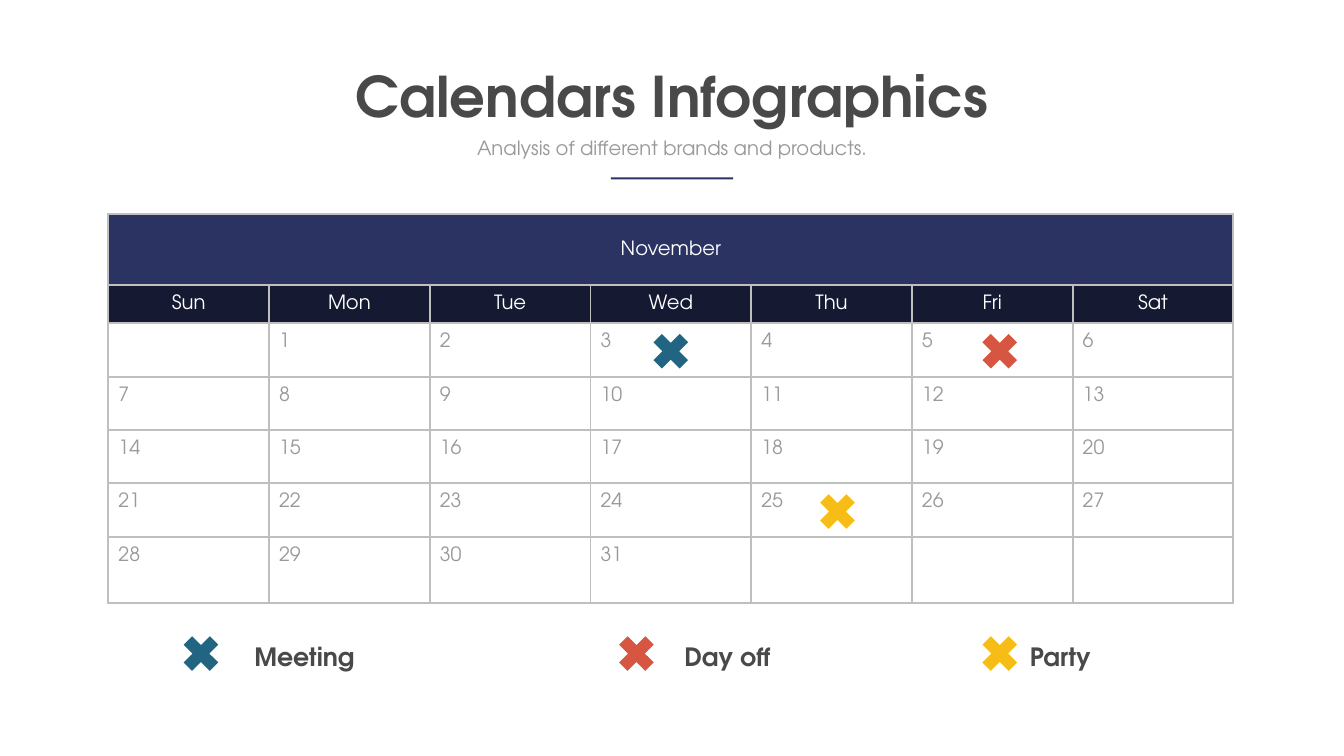
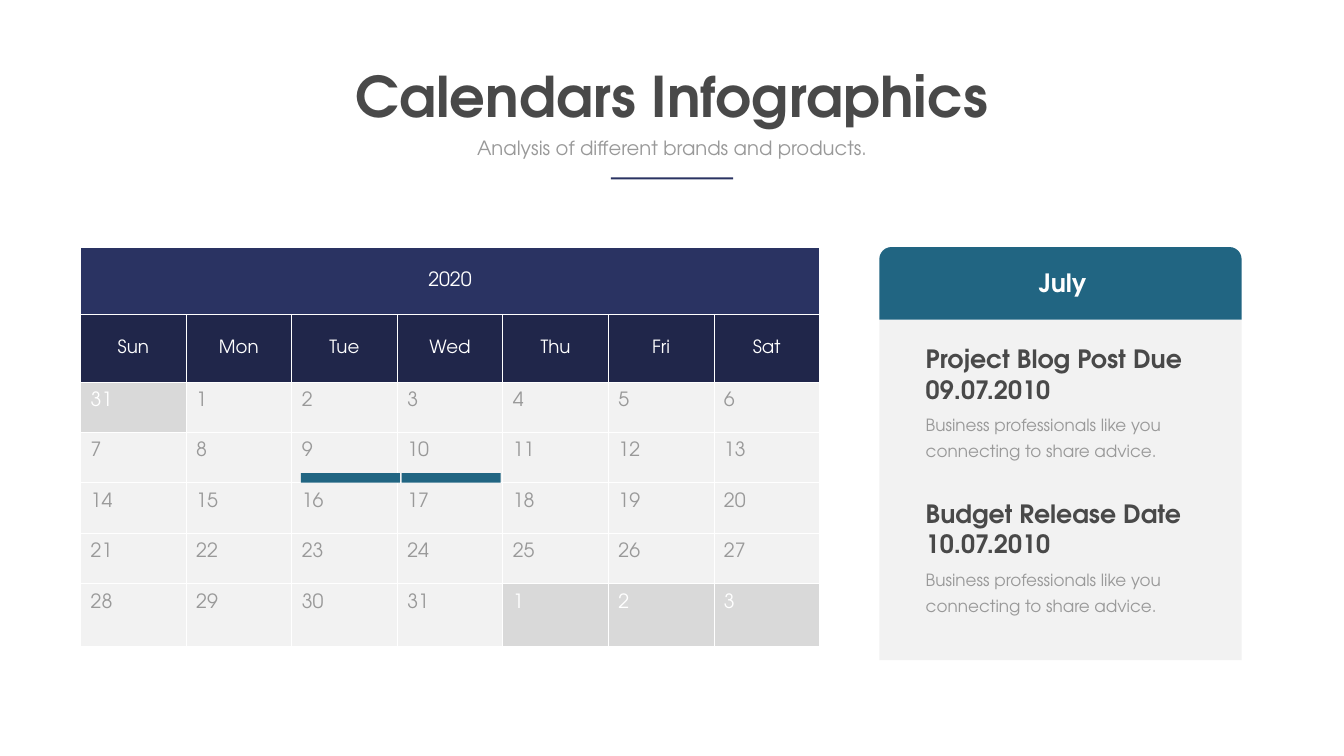
from dataclasses import dataclass
from typing import Any

import pptx
import pptx.dml.color
import pptx.enum.shapes
import pptx.enum.text
import pptx.oxml.ns
import pptx.util
from lxml import etree

Cm = pptx.util.Cm
Pt = pptx.util.Pt
Align = pptx.enum.text.PP_ALIGN
Kind = pptx.enum.shapes.MSO_SHAPE


@dataclass(frozen=True)
class Theme:
    font: str = "TeX Gyre Adventor"
    ink: str = "494949"
    gray: str = "999999"
    white: str = "FFFFFF"
    pale: str = "F2F2F2"
    dim: str = "D9D9D9"
    grid: str = "BFBFBF"
    navy: str = "2A3362"
    night: str = "151931"
    dusk: str = "20264A"
    teal: str = "216582"
    red: str = "D65642"
    gold: str = "F6BD17"
    title: int = 80
    label: int = 36
    text: int = 28
    week: int = 26
    note: int = 24


THEME = Theme()
WIDTH, HEIGHT = 67.74, 38.1
DAYS = ("Sun", "Mon", "Tue", "Wed", "Thu", "Fri", "Sat")
LAST = 31


@dataclass(frozen=True)
class Box:
    left: float
    top: float
    width: float
    height: float

    def place(self) -> tuple:
        return Cm(self.left), Cm(self.top), Cm(self.width), Cm(self.height)


@dataclass(frozen=True)
class Style:
    size: int
    color: str
    bold: bool = False
    align: Any = Align.LEFT
    line: float = 0


@dataclass(frozen=True)
class Month:
    name: str
    left: float
    top: float
    col: float
    rows: tuple
    week: Style
    band: str
    fill: str
    off: str
    before: tuple
    after: tuple
    edge: str
    weight: float


@dataclass(frozen=True)
class Mark:
    color: str
    left: float
    top: float


@dataclass(frozen=True)
class Key:
    name: str
    mark: Mark
    left: float
    width: float


@dataclass(frozen=True)
class Event:
    head: str
    body: str


LABEL = Style(THEME.label, THEME.ink, True)
HEAD = Style(THEME.text, THEME.white, align=Align.CENTER)
DAY = Style(THEME.text, THEME.gray)
OFF = Style(THEME.text, THEME.white)
NOTE = Style(THEME.note, THEME.gray, line=36.6)

MARK = 2.54
KEY_TOP = 31.67

NOVEMBER = Month(
    "November", 5.46, 10.8, 8.1, (3.58, 1.91, 2.69, 2.69, 2.69, 2.69, 3.33),
    HEAD, THEME.night, THEME.white, THEME.white, ("",), ("", "", ""),
    THEME.grid, 3)
YEAR = Month(
    "2020", 4.06, 12.45, 5.32, (3.4, 3.4, 2.54, 2.54, 2.54, 2.54, 3.18),
    Style(THEME.week, THEME.white, align=Align.CENTER), THEME.dusk,
    THEME.pale, THEME.dim, ("31",), ("1", "2", "3"), THEME.white, 1)

MARKS = (
    Mark(THEME.teal, 32.54, 16.43),
    Mark(THEME.red, 49.12, 16.43),
    Mark(THEME.gold, 40.94, 24.51),
)
KEYS = (
    Key("Meeting", Mark(THEME.teal, 8.86, KEY_TOP), 12.57, 12.42),
    Key("Day off", Mark(THEME.red, 30.81, KEY_TOP), 34.24, 5.44),
    Key("Party", Mark(THEME.gold, 49.12, KEY_TOP), 51.66, 4.72),
)
ADVICE = "Business professionals like you connecting to share advice."
EVENTS = (
    Event("Project Blog Post Due 09.07.2010", ADVICE),
    Event("Budget Release Date\n10.07.2010", ADVICE),
)


def tint(color: str) -> pptx.dml.color.RGBColor:
    return pptx.dml.color.RGBColor.from_string(color)


def write(frame: Any, text: str, style: Style) -> None:
    frame.text = text
    for para in frame.paragraphs:
        para.alignment = style.align
        if style.line:
            para.line_spacing = Pt(style.line)
        for run in para.runs:
            run.font.name = THEME.font
            run.font.size = Pt(style.size)
            run.font.bold = style.bold
            run.font.color.rgb = tint(style.color)


def add_text(shapes: Any, box: Box, text: str, style: Style,
             wrap: bool = True) -> None:
    frame = shapes.add_textbox(*box.place()).text_frame
    frame.word_wrap = wrap
    frame.auto_size = pptx.enum.text.MSO_AUTO_SIZE.SHAPE_TO_FIT_TEXT
    write(frame, text, style)


def add_block(shapes: Any, box: Box, color: str,
              kind: Any = Kind.RECTANGLE) -> None:
    shape = shapes.add_shape(kind, *box.place())
    shape.shadow.inherit = False
    shape.fill.solid()
    shape.fill.fore_color.rgb = tint(color)
    shape.line.fill.background()


def add_mark(shapes: Any, mark: Mark) -> None:
    add_block(shapes, Box(mark.left, mark.top, MARK, MARK), mark.color,
              Kind.MATH_MULTIPLY)


def mid(top: float, width: float, height: float) -> Box:
    return Box((WIDTH - width) / 2, top, width, height)


def add_title(shapes: Any) -> None:
    add_text(shapes, mid(2.97, 32.74, 3.68), "Calendars Infographics",
             Style(THEME.title, THEME.ink, True, Align.CENTER), wrap=False)
    add_text(shapes, mid(6.73, 24.28, 1.45),
             "Analysis of different brands and products.",
             Style(THEME.text, THEME.gray, align=Align.CENTER))
    add_block(shapes, mid(8.94, 6.17, 0.1), THEME.navy)


def edge_cell(cell: Any, color: str, weight: float) -> None:
    qn = pptx.oxml.ns.qn
    props = cell._tc.get_or_add_tcPr()
    for side in ("a:lnL", "a:lnR", "a:lnT", "a:lnB"):
        line = etree.SubElement(props, qn(side), w=str(Pt(weight)))
        fill = etree.SubElement(line, qn("a:solidFill"))
        etree.SubElement(fill, qn("a:srgbClr"), val=color)


def fill_cell(cell: Any, text: str, style: Style, color: str,
              month: Month) -> None:
    edge_cell(cell, month.edge, month.weight)
    cell.fill.solid()
    cell.fill.fore_color.rgb = tint(color)
    if style.align == Align.CENTER:
        cell.vertical_anchor = pptx.enum.text.MSO_ANCHOR.MIDDLE
        pads = (0.36, 0.18, 0.36, 0.18)
    else:
        pads = (0.51, 0.51, 0.25, 0.13)
    (cell.margin_left, cell.margin_top,
     cell.margin_right, cell.margin_bottom) = map(Cm, pads)
    if text:
        write(cell.text_frame, text, style)


def add_month(shapes: Any, month: Month) -> None:
    count = len(DAYS)
    box = Box(month.left, month.top, month.col * count, sum(month.rows))
    table = shapes.add_table(len(month.rows), count, *box.place()).table
    table.first_row = table.horz_banding = False
    for col in table.columns:
        col.width = Cm(month.col)
    for row, height in zip(table.rows, month.rows):
        row.height = Cm(height)

    # Name and weekdays
    for i, day in enumerate(DAYS):
        fill_cell(table.cell(0, i), "" if i else month.name, HEAD,
                  THEME.navy, month)
        fill_cell(table.cell(1, i), day, month.week, month.band, month)
    table.cell(0, 0).merge(table.cell(0, count - 1))

    # Dates, with the days of other months set off
    dates = [(text, OFF, month.off) for text in month.before]
    dates += [(str(n), DAY, month.fill) for n in range(1, LAST + 1)]
    dates += [(text, OFF, month.off) for text in month.after]
    for i, (text, style, color) in enumerate(dates):
        cell = table.cell(2 + i // count, i % count)
        fill_cell(cell, text, style, color, month)


def add_card(shapes: Any) -> None:
    left, width = 44.32, 18.26
    card = shapes.add_group_shape().shapes
    add_block(card, Box(left, 12.45, width, 3.66), THEME.teal,
              Kind.ROUND_2_SAME_RECTANGLE)
    add_block(card, Box(left, 16.13, width, 17.14), THEME.pale)
    add_text(shapes, Box(47.35, 13.36, 12.42, 1.8), "July",
             Style(THEME.label, THEME.white, True, Align.CENTER))
    for i, event in enumerate(EVENTS):
        top = 17.2 + i * 7.79
        group = shapes.add_group_shape().shapes
        add_text(group, Box(46.41, top + 3.32, 13.08, 2.87), event.body, NOTE)
        add_text(group, Box(46.41, top, 13.94, 3.33), event.head, LABEL)


def new_slide(deck: Any) -> Any:
    shapes = deck.slides.add_slide(deck.slide_layouts[6]).shapes
    add_title(shapes)
    return shapes


def main() -> None:
    deck = pptx.Presentation()
    deck.slide_width, deck.slide_height = Cm(WIDTH), Cm(HEIGHT)

    # Month with marked days and a key
    shapes = new_slide(deck)
    add_month(shapes, NOVEMBER)
    for mark in MARKS:
        add_mark(shapes, mark)
    for key in KEYS:
        add_mark(shapes, key.mark)
        add_text(shapes, Box(key.left, 32.21, key.width, 1.8), key.name, LABEL)

    # Month with an event card
    shapes = new_slide(deck)
    add_card(shapes)
    add_month(shapes, YEAR)
    for i in range(2):
        add_block(shapes, Box(15.16 + i * 5.08, 23.85, 5, 0.48), THEME.teal)

    deck.save("out.pptx")


if __name__ == "__main__":
    main()
